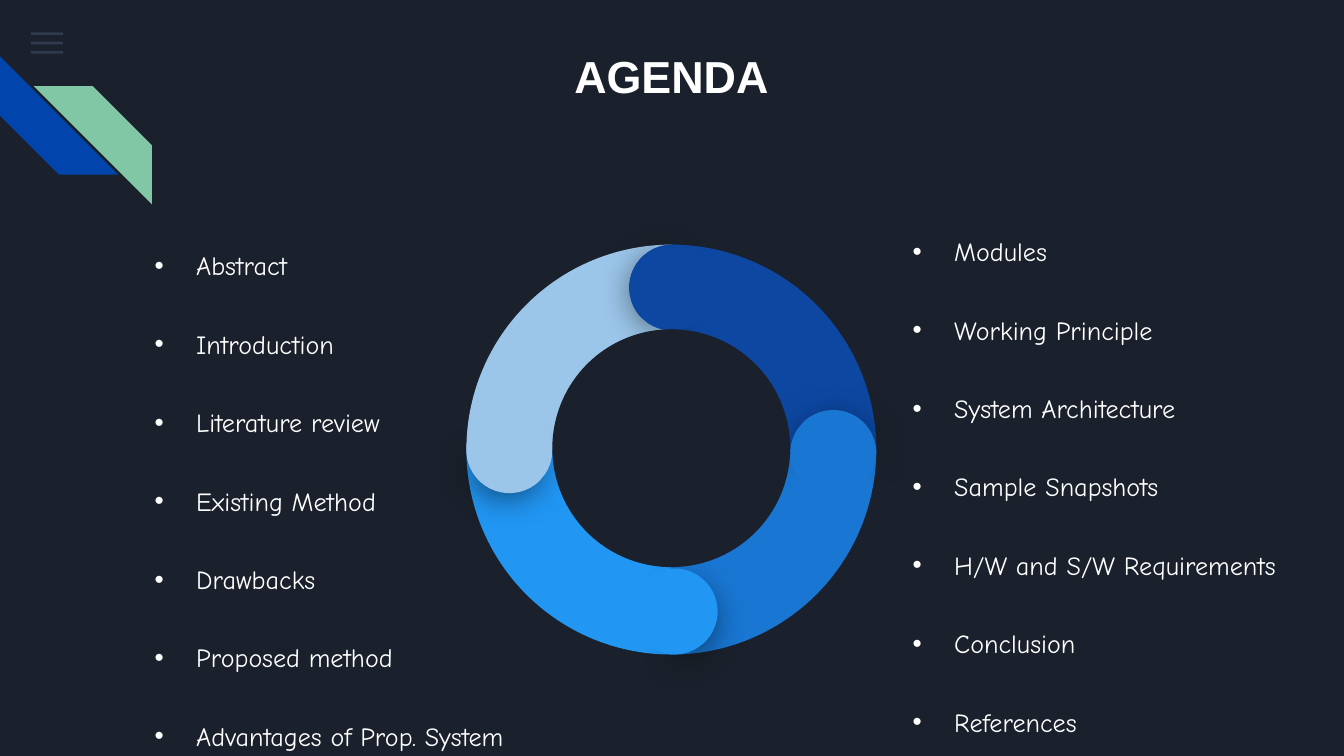
from lxml import etree
from pptx import Presentation
from pptx.dml.color import RGBColor
from pptx.enum.shapes import MSO_SHAPE as SHAPE
from pptx.enum.text import MSO_ANCHOR as ANCHOR, MSO_AUTO_SIZE as AUTO, PP_ALIGN as ALIGN
from pptx.oxml.ns import qn
from pptx.util import Inches, Pt

COLORS = {
    "back": "1B212C", "white": "FFFFFF", "menu": "55688B",
    "stripe_blue": "0145AC", "stripe_green": "82C7A5",
    "pale": "9BC5E9", "navy": "0D47A1", "blue": "1976D2", "sky": "2196F3",
    "shadow": "000000",
}


def add_shape(kind, x, y, w, h, color, rotation=0, adj=(), alpha=None, shadow=False):
    sp = s.shapes.add_shape(kind, Inches(x), Inches(y), Inches(w), Inches(h))
    sp.shadow.inherit = False
    sp.fill.solid()
    sp.fill.fore_color.rgb = RGBColor.from_string(COLORS[color])
    sp.line.fill.background()
    sp.rotation = rotation
    for i, value in enumerate(adj):
        sp.adjustments[i] = value
    if alpha:
        clr = sp._element.spPr.find(qn("a:solidFill"))[0]
        etree.SubElement(clr, qn("a:alpha"), val=str(alpha * 1000))
    if shadow:
        effects = sp._element.spPr.find(qn("a:effectLst"))
        outer = etree.SubElement(effects, qn("a:outerShdw"), blurRad=str(Pt(18)),
                                 dist=str(Pt(4)), dir="5400000", algn="t", rotWithShape="0")
        clr = etree.SubElement(outer, qn("a:srgbClr"), val=COLORS["shadow"])
        etree.SubElement(clr, qn("a:alpha"), val="55000")
    return sp


def write_text(sp, lines, box, font="Comic Neue", size=14, bold=False, align=ALIGN.LEFT,
               anchor=ANCHOR.MIDDLE, auto=AUTO.NONE, spacing=1.0, bottom=0.1, bullet=None):
    sp.left, sp.top, sp.width, sp.height = [Inches(v) for v in box]
    tf = sp.text_frame
    tf.word_wrap = True
    tf.auto_size = auto
    tf.vertical_anchor = anchor
    tf.margin_left = tf.margin_right = tf.margin_top = Inches(0.1)
    tf.margin_bottom = Inches(bottom)
    for i, line in enumerate(lines):
        p = tf.paragraphs[0] if i == 0 else tf.add_paragraph()
        p.alignment = align
        p.line_spacing = spacing
        p.space_before = p.space_after = Pt(0)
        if bullet:
            pPr = p._p.get_or_add_pPr()
            pPr.set("marL", str(Inches(0.31)))
            pPr.set("indent", str(-Inches(0.31)))
            clr = etree.SubElement(pPr, qn("a:buClr"))
            etree.SubElement(clr, qn("a:srgbClr"), val=COLORS["white"])
            etree.SubElement(pPr, qn("a:buFont"), typeface="Arial")
            etree.SubElement(pPr, qn("a:buChar"), char=bullet)
        r = p.add_run()
        r.text = line
        r.font.name = font
        r.font.size = Pt(size)
        r.font.bold = bold
        r.font.color.rgb = RGBColor.from_string(COLORS["white"])


# Widescreen slide, 16 to 9
prs = Presentation()
prs.slide_width = Inches(10)
prs.slide_height = Inches(10 * 9 / 16)
s = prs.slides.add_slide(prs.slide_layouts[3])
s.background.fill.solid()
s.background.fill.fore_color.rgb = RGBColor.from_string(COLORS["back"])
title, left_list, right_list = s.placeholders

# Title
write_text(title, ["AGENDA"], (1.24, 0.26, 7.51, 0.61), font="Arial", size=24, bold=True,
           align=ALIGN.CENTER, anchor=ANCHOR.TOP, auto=AUTO.SHAPE_TO_FIT_TEXT)

# Agenda lists
write_text(left_list,
           ["Abstract", "Introduction", "Literature review", "Existing Method", "Drawbacks",
            "Proposed method", "Advantages of Prop. System"],
           (1.05, 1.79, 3.81, 4.3), spacing=2.5, bottom=0.88, bullet="•")
write_text(right_list,
           ["Modules", "Working Principle", "System Architecture", "Sample Snapshots",
            "H/W and S/W Requirements", "Conclusion", "References"],
           (6.69, 1.53, 3.15, 4.67), spacing=2.5, bottom=0.94, bullet="•")

# Menu icon
for i in range(3):
    add_shape(SHAPE.RECTANGLE, 0.23, 0.24 + 0.07 * i, 0.24, 0.02, "menu", alpha=36)

# Corner stripes
add_shape(SHAPE.DIAGONAL_STRIPE, 0, 0.42, 0.88, 0.88, "stripe_blue", 270, [0.5])
green = add_shape(SHAPE.DIAGONAL_STRIPE, 0.25, 0.64, 0.88, 0.88, "stripe_green", adj=[0.5])
green._element.spPr.find(qn("a:xfrm")).set("flipH", "1")

# Ring quarters; an adjustment of 0.6 is one degree
for i, color in enumerate(["pale", "navy", "blue", "sky"]):
    add_shape(SHAPE.PIE, 3.47, 1.82, 3.05, 3.05, color, 90 * i, [108, 162])

# Rounded ends: colour, quarter turns, shaded half disc and its angles, disc on top
half_angles = [189.54, 83.81]
caps = [
    ("pale", 0, (3.48, 3.07), half_angles, (3.47, 3.03)),
    ("sky", 3, (4.74, 4.28), half_angles, (4.7, 4.23)),
    ("blue", 2, (5.93, 3.07), [196.87, 77.71], (5.88, 3.05)),
    ("navy", 1, (4.7, 1.83), half_angles, (4.68, 1.82)),
]
for color, turns, half, angles, disc in caps:
    add_shape(SHAPE.PIE, *half, 0.57, 0.57, color, 39.5 + 90 * turns, angles, shadow=True)
    add_shape(SHAPE.CHORD, *disc, 0.64, 0.64, color, 4.1 + 90 * turns, [25.01, 18.12])

# Ring hole
add_shape(SHAPE.OVAL, 4.11, 2.45, 1.77, 1.77, "back")

prs.save("out.pptx")
